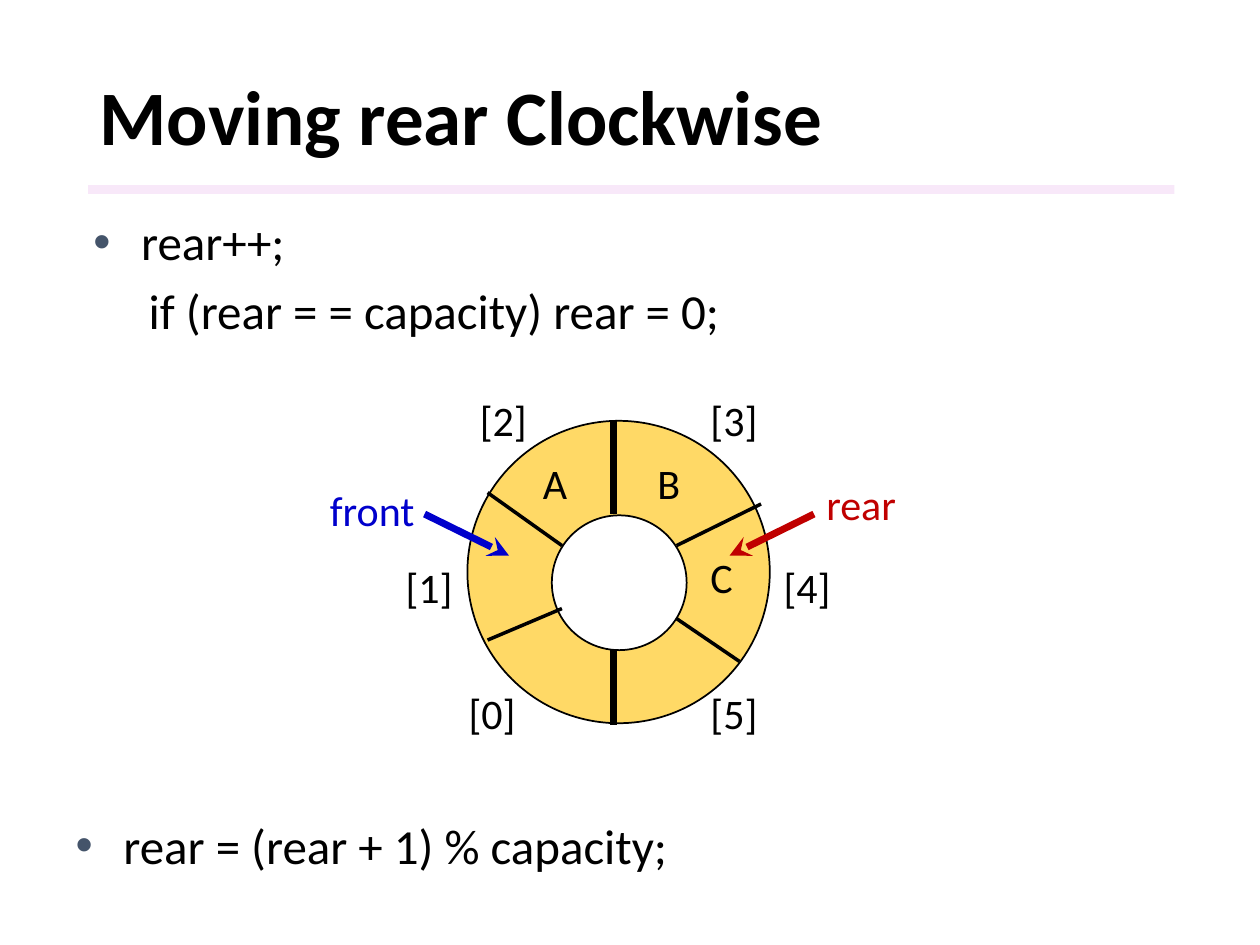
from lxml.etree import SubElement
from pptx import Presentation
from pptx.dml.color import RGBColor
from pptx.enum.shapes import MSO_CONNECTOR, MSO_SHAPE
from pptx.enum.text import MSO_ANCHOR, MSO_AUTO_SIZE, PP_ALIGN
from pptx.oxml.ns import qn
from pptx.util import Inches, Pt

FONT = "Calibri"
COLORS = {
    "text": "000000",
    "bar": "F3D2F4",
    "ring": "FFD966",
    "hole": "FFFFFF",
    "front": "0000CC",
    "rear": "C00000",
    "bullet": "44546A",
}


def color(name):
    return RGBColor.from_string(COLORS[name])


def place(shape, left, top, width, height):
    bounds = {"left": left, "top": top, "width": width, "height": height}
    for name, value in bounds.items():
        setattr(shape, name, Inches(value))


def format_font(font, size, color_name="text", bold=False):
    values = {"name": FONT, "size": Pt(size), "bold": bold}
    for name, value in values.items():
        setattr(font, name, value)
    font.color.rgb = color(color_name)


def format_frame(text_frame, anchor=MSO_ANCHOR.TOP):
    values = {
        "word_wrap": True,
        "auto_size": MSO_AUTO_SIZE.NONE,
        "vertical_anchor": anchor,
        "margin_left": Inches(0.1),
        "margin_right": Inches(0.1),
        "margin_top": Inches(0.05),
        "margin_bottom": Inches(0.05),
    }
    for name, value in values.items():
        setattr(text_frame, name, value)


def fill_title(title, text):
    place(title, 0.69, 0.4, 8.62, 1.11)
    format_frame(title.text_frame, MSO_ANCHOR.MIDDLE)
    title.text_frame.text = text
    paragraph = title.text_frame.paragraphs[0]
    paragraph.alignment = PP_ALIGN.LEFT
    paragraph.line_spacing = 0.9
    format_font(paragraph.runs[0].font, 44, bold=True)


def set_bullet(paragraph, bulleted):
    properties = paragraph._p.get_or_add_pPr()
    if bulleted:
        properties.set("marL", str(Inches(0.38)))
        properties.set("indent", str(Inches(-0.38)))
        bullet_color = SubElement(properties, qn("a:buClr"))
        SubElement(bullet_color, qn("a:srgbClr"), val=COLORS["bullet"])
        SubElement(properties, qn("a:buFont"), typeface="Arial")
        SubElement(properties, qn("a:buChar"), char="•")
    else:
        properties.set("marL", str(Inches(0.44)))
        properties.set("indent", "0")
        SubElement(properties, qn("a:buNone"))


def fill_list(body, bounds, lines):
    """The first line has a bullet, the others continue it."""
    place(body, *bounds)
    format_frame(body.text_frame)
    body.text_frame.text = "\n".join(lines)
    for index, paragraph in enumerate(body.text_frame.paragraphs):
        paragraph.space_before = Pt(5.6)
        set_bullet(paragraph, bulleted=index == 0)
        format_font(paragraph.runs[0].font, 28)


def add_filled_shape(slide, kind, bounds, fill, outlined=True):
    shape = slide.shapes.add_shape(kind, *map(Inches, bounds))
    shape.shadow.inherit = False
    shape.fill.solid()
    shape.fill.fore_color.rgb = color(fill)
    if outlined:
        shape.line.color.rgb = color("text")
        shape.line.width = Pt(1)
    else:
        shape.line.fill.background()
    return shape


def add_title_bar(slide):
    bar = add_filled_shape(slide, MSO_SHAPE.RECTANGLE,
                           (0.7, 1.47, 8.62, 0.07), "bar", outlined=False)
    fill_color = bar._element.spPr.find(".//" + qn("a:srgbClr"))
    SubElement(fill_color, qn("a:alpha"), val="50000")


def add_line(slide, start, end, width, color_name="text", arrow=False):
    line = slide.shapes.add_connector(
        MSO_CONNECTOR.STRAIGHT, *map(Inches, start + end))
    line.line.color.rgb = color(color_name)
    line.line.width = Pt(width)
    if arrow:
        SubElement(line.line._get_or_add_ln(), qn("a:tailEnd"), type="stealth")
    SubElement(line._element.spPr, qn("a:effectLst"))


def add_label(slide, text, left, top, width, color_name="text"):
    label = slide.shapes.add_textbox(*map(Inches, (left, top, width, 0.5)))
    format_frame(label.text_frame)
    label.text_frame.text = text
    format_font(label.text_frame.paragraphs[0].runs[0].font, 24, color_name)


def add_ring(slide):
    add_filled_shape(slide, MSO_SHAPE.OVAL, (3.71, 3.34, 2.4, 2.4), "ring")
    add_filled_shape(slide, MSO_SHAPE.OVAL, (4.38, 4.09, 1.07, 1.07), "hole")

    # Borders between the slots
    borders = [
        ((4.87, 3.33), (4.87, 4.08), 4),
        ((4.87, 5.16), (4.87, 5.75), 4),
        ((3.87, 3.91), (4.46, 4.33), 2),
        ((4.46, 4.83), (3.87, 5.08), 2),
        ((5.37, 4.33), (6.04, 4), 2),
        ((5.37, 4.91), (5.87, 5.25), 2),
    ]
    for start, end, width in borders:
        add_line(slide, start, end, width)

    # Slot numbers, clockwise from the bottom left
    index_places = [(3.62, 5.41), (3.12, 4.41), (3.71, 3.08),
                    (5.54, 3.08), (6.12, 4.41), (5.54, 5.41)]
    for index, (left, top) in enumerate(index_places):
        add_label(slide, f"[{index}]", left, top, 0.92)

    # Queue items
    for item, left, top in [("A", 4.21, 3.58), ("B", 5.12, 3.58), ("C", 5.54, 4.33)]:
        add_label(slide, item, left, top, 0.67)


def add_pointer(slide, name, label_place, start, end):
    add_label(slide, name, *label_place, 1, color_name=name)
    add_line(slide, start, end, 4, color_name=name, arrow=True)


def main():
    presentation = Presentation()
    presentation.slide_width = Inches(10)
    presentation.slide_height = Inches(7.5)
    slide = presentation.slides.add_slide(presentation.slide_layouts[3])
    title, steps, formula = slide.placeholders

    # Heading and code lines
    add_title_bar(slide)
    fill_title(title, "Moving rear Clockwise")
    fill_list(steps, (0.64, 1.63, 9, 1.25),
              ["rear++;", "if (rear = = capacity) rear = 0;"])
    fill_list(formula, (0.5, 6.42, 9, 0.75), ["rear = (rear + 1) % capacity;"])

    # Circular queue
    add_ring(slide)
    add_pointer(slide, "front", (2.52, 3.8), (3.37, 4.08), (4.04, 4.41))
    add_pointer(slide, "rear", (6.46, 3.75), (6.46, 4.08), (5.79, 4.41))

    presentation.save("out.pptx")


if __name__ == "__main__":
    main()
